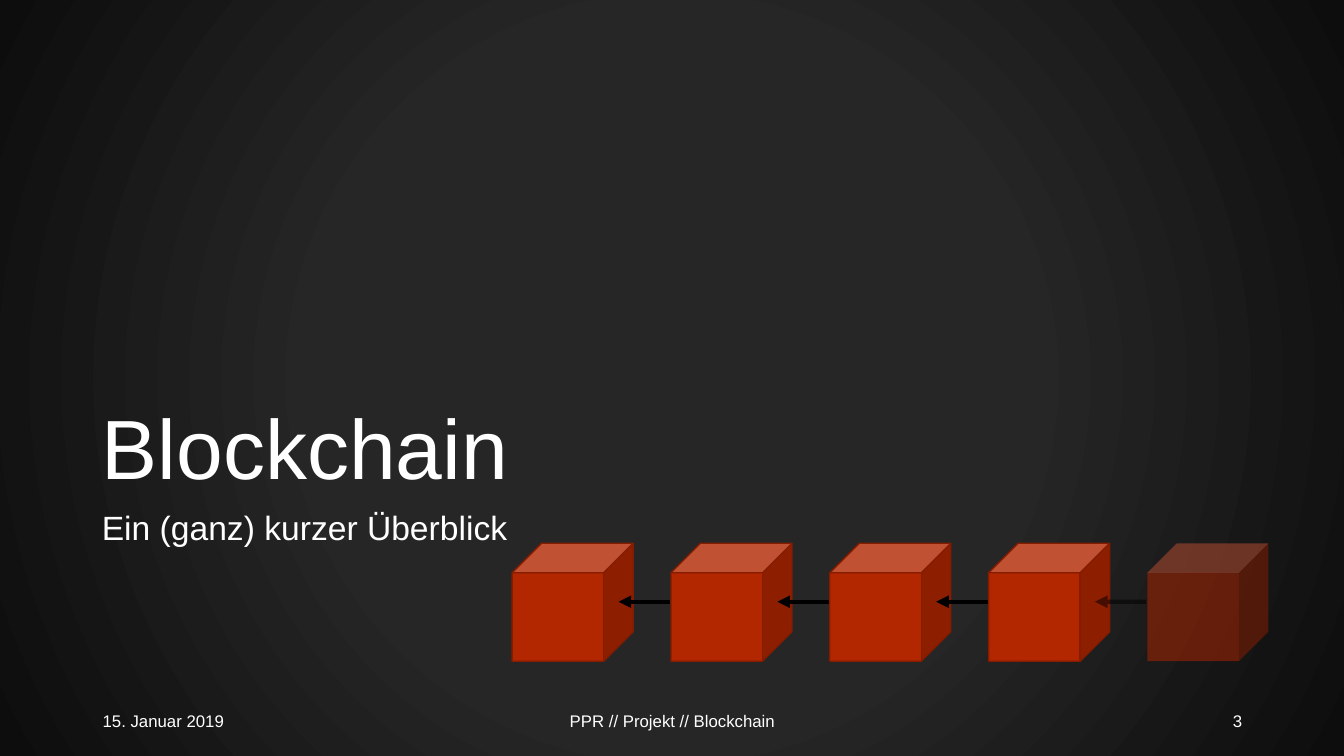
import pptx
import pptx.util
import pptx.dml.color
import pptx.enum.shapes
import pptx.enum.text
import pptx.oxml
import pptx.oxml.ns
from lxml import etree

Inches, Pt = pptx.util.Inches, pptx.util.Pt
ALIGN, ANCHOR = pptx.enum.text.PP_ALIGN, pptx.enum.text.MSO_ANCHOR
qn = pptx.oxml.ns.qn

TITLE = "Blockchain"
SUBTITLE = "Ein (ganz) kurzer Überblick"
FOOTERS = [
    ("15. Januar 2019", 0.92, 3, ALIGN.LEFT),
    ("PPR // Projekt // Blockchain", 4.42, 4.5, ALIGN.CENTER),
    ("3", 9.42, 3, ALIGN.RIGHT),
]
BACKDROP = [(0, "262626"), (46, "262626"), (100, "0D0D0D")]
WHITE, BLACK, BLOCK, EDGE = "FFFFFF", "000000", "B22600", "841C00"
SOLID_BLOCKS = 4
FIRST_LEFT, BLOCK_TOP, BLOCK_STEP = 5.08, 5.39, 1.575
BLOCK_WIDTH, BLOCK_HEIGHT = 1.2, 1.17
ARROW_Y, ARROW_GAP, ARROW_LENGTH = 5.97, 0.01, 0.51


def paint(fill, color, opacity=100):
    fill.solid()
    fill.fore_color.rgb = pptx.dml.color.RGBColor.from_string(color)
    if opacity < 100:
        color_node = fill._xPr.find(".//" + qn("a:srgbClr"))
        etree.SubElement(color_node, qn("a:alpha"), val=str(opacity * 1000))


def write(box, text, size, anchor, align=ALIGN.LEFT):
    frame = box.text_frame
    frame.word_wrap = True
    frame.auto_size = pptx.enum.text.MSO_AUTO_SIZE.NONE
    frame.vertical_anchor = anchor
    para = frame.paragraphs[0]
    para.alignment = align
    span = para.add_run()
    span.text = text
    span.font.name = "Arial"
    span.font.size = Pt(size)
    span.font.bold = False
    span._r.get_or_add_rPr().set("cap", "none")
    paint(span.font.fill, WHITE)
    return para


def place(box, left, top, width, height):
    box.left, box.top = Inches(left), Inches(top)
    box.width, box.height = Inches(width), Inches(height)


def add_block(chain, left, faded):
    block = chain.shapes.add_shape(
        pptx.enum.shapes.MSO_SHAPE.CUBE, Inches(left), Inches(BLOCK_TOP),
        Inches(BLOCK_WIDTH), Inches(BLOCK_HEIGHT))
    block.shadow.inherit = False
    paint(block.fill, BLOCK, 50 if faded else 100)
    if faded:
        block.line.fill.background()
    else:
        paint(block.line.fill, EDGE)
        block.line.width = Pt(1)


def add_arrow(chain, block_left, faded):
    start = block_left - ARROW_GAP
    arrow = chain.shapes.add_connector(
        pptx.enum.shapes.MSO_CONNECTOR.STRAIGHT, Inches(start), Inches(ARROW_Y),
        Inches(start - ARROW_LENGTH), Inches(ARROW_Y))
    arrow.line.width = Pt(3)
    paint(arrow.line.fill, BLACK, 50 if faded else 100)
    properties = arrow._element.spPr
    etree.SubElement(properties.find(qn("a:ln")), qn("a:tailEnd"), type="triangle")
    etree.SubElement(properties, qn("a:effectLst"))


def set_backdrop(page):
    page.background.fill.gradient()
    linear = page._element.find(".//" + qn("a:gradFill"))
    stops = "".join(f'<a:gs pos="{position * 1000}"><a:srgbClr val="{color}"/></a:gs>'
                    for position, color in BACKDROP)
    radial = pptx.oxml.parse_xml(
        f'<a:gradFill {pptx.oxml.ns.nsdecls("a")} rotWithShape="1"><a:gsLst>{stops}</a:gsLst>'
        '<a:path path="circle"><a:fillToRect l="50000" t="50000" r="50000" b="50000"/>'
        '</a:path></a:gradFill>')
    linear.getparent().replace(linear, radial)


deck = pptx.Presentation()
deck.slide_width, deck.slide_height = Inches(13.33), Inches(7.5)
page = deck.slides.add_slide(deck.slide_layouts.get_by_name("Section Header"))
set_backdrop(page)

title, subtitle = page.shapes.title, page.placeholders[1]
place(title, 0.91, 1.87, 11.5, 3.12)
place(subtitle, 0.91, 5.02, 11.5, 1.64)
write(title, TITLE, 60, ANCHOR.BOTTOM).line_spacing = 0.9
para = write(subtitle, SUBTITLE, 24, ANCHOR.TOP)
para.line_spacing = 0.9
para.space_before = Pt(10)

for text, left, width, align in FOOTERS:
    box = page.shapes.add_textbox(Inches(left), Inches(6.95), Inches(width), Inches(0.4))
    write(box, text, 12, ANCHOR.MIDDLE, align)

chain = page.shapes.add_group_shape()
block_lefts = [FIRST_LEFT + BLOCK_STEP * index for index in range(SOLID_BLOCKS + 1)]
for left in block_lefts[:-1]:
    add_block(chain, left, False)
for left in block_lefts[1:-1]:
    add_arrow(chain, left, False)
add_block(chain, block_lefts[-1], True)
add_arrow(chain, block_lefts[-1], True)

deck.save("out.pptx")
